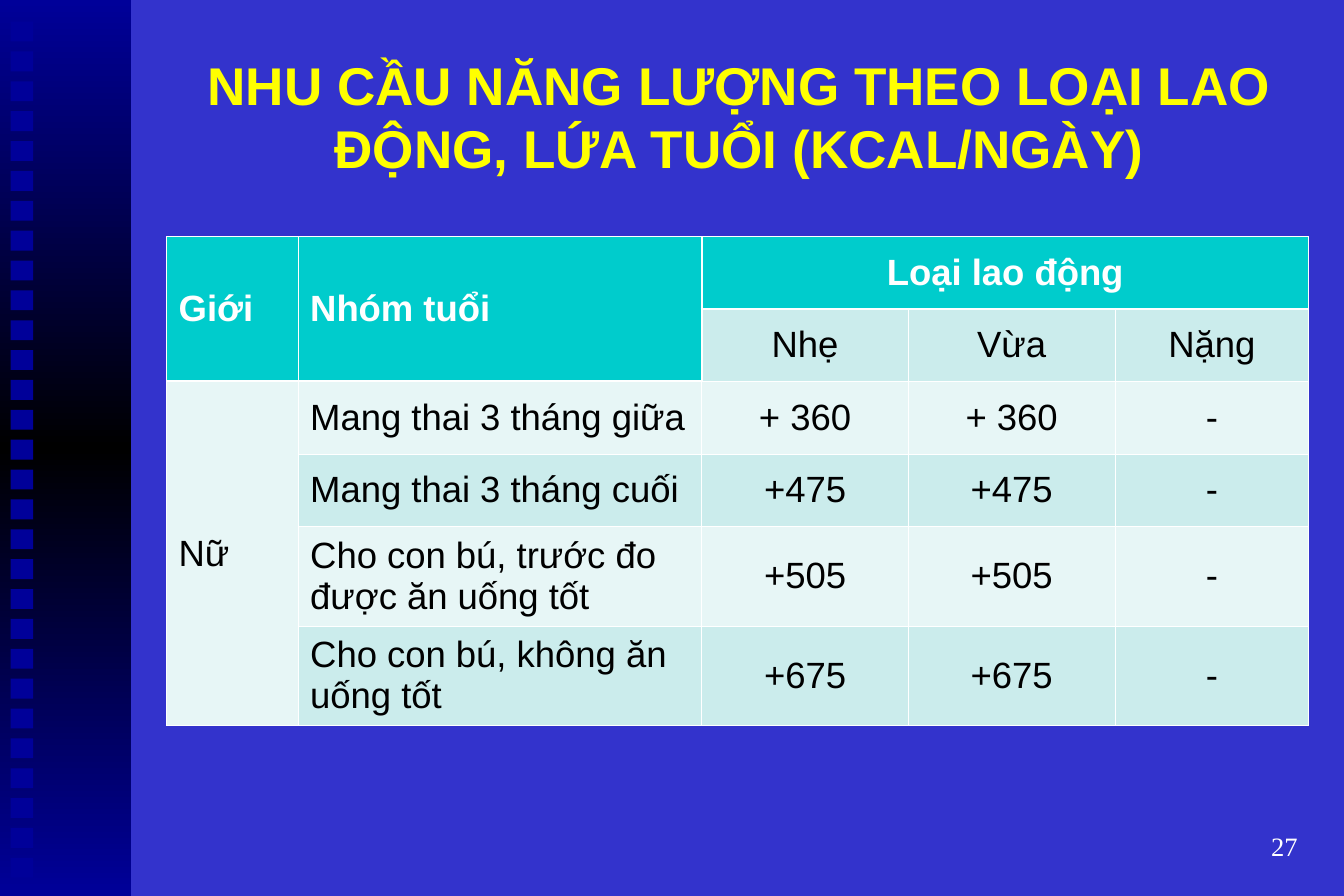
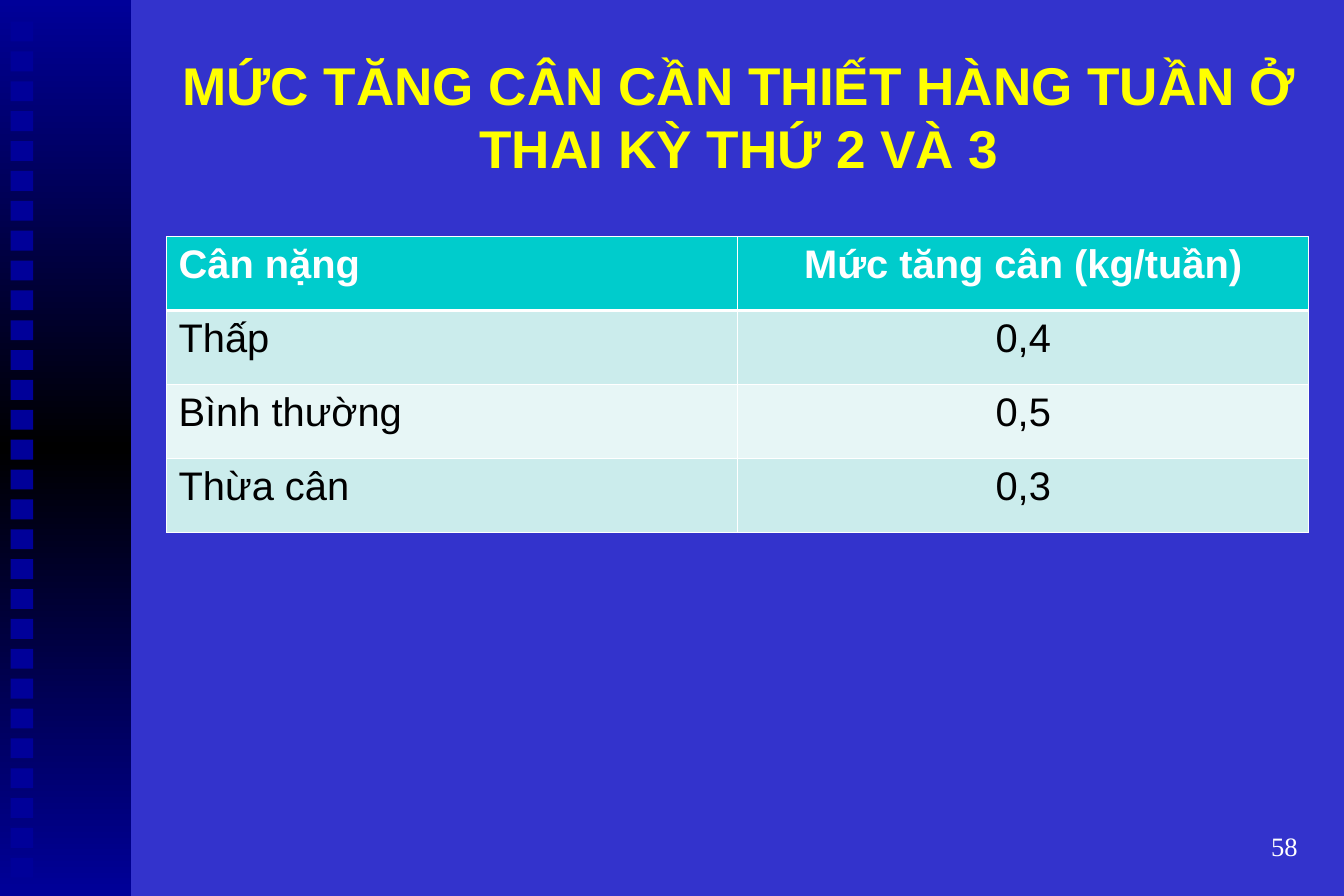
import lxml.etree
import pptx
import pptx.dml.color
import pptx.enum.shapes
import pptx.enum.text
import pptx.oxml.ns
import pptx.util

Pt = pptx.util.Pt
RGBColor = pptx.dml.color.RGBColor
PP_ALIGN = pptx.enum.text.PP_ALIGN
ANCHOR = pptx.enum.text.MSO_ANCHOR
qn = pptx.oxml.ns.qn

# Colours
BLUE = RGBColor(0x33, 0x33, 0xCC)
NAVY = RGBColor(0x00, 0x00, 0x99)
BLACK = RGBColor(0x00, 0x00, 0x00)
WHITE = RGBColor(0xFF, 0xFF, 0xFF)
YELLOW = RGBColor(0xFF, 0xFF, 0x00)
TEAL = RGBColor(0x00, 0xCC, 0xCC)
BANDS = (RGBColor(0xE7, 0xF6, 0xF6), RGBColor(0xCB, 0xEC, 0xEC))

# Shared measures, in points
SLIDE_W, SLIDE_H = 810, 540
BAND_W = 79
SQUARES, SQUARE_TOP, SQUARE_PITCH = 29, 13, 18
TABLE_LEFT, TABLE_TOP, TABLE_W = 100.5, 142.5, 688.3
THIN, THICK = 0.45, 1.47


def add_rect(slide, left, top, width, height):
    sp = slide.shapes.add_shape(pptx.enum.shapes.MSO_SHAPE.RECTANGLE,
                                Pt(left), Pt(top), Pt(width), Pt(height))
    sp.shadow.inherit = False
    sp.line.fill.background()
    sp.fill.solid()
    sp.fill.fore_color.rgb = NAVY
    return sp


def fill_gradient(sp, colours):
    """Vertical gradient with evenly spaced stops."""
    sp.fill.gradient()
    sp.fill.gradient_angle = 270
    stops = sp.element.spPr.find(qn("a:gradFill")).find(qn("a:gsLst"))
    for old in list(stops):
        stops.remove(old)
    for i, colour in enumerate(colours):
        gs = lxml.etree.SubElement(stops, qn("a:gs"), pos=str(i * 100000 // (len(colours) - 1)))
        lxml.etree.SubElement(gs, qn("a:srgbClr"), val=str(colour))


def style_paragraph(p, font, size, colour, align, bold=False):
    p.alignment = align
    p.font.name = font
    p.font.size = Pt(size)
    p.font.bold = bold
    p.font.color.rgb = colour


def add_text(slide, text, left, top, width, height, *style):
    tf = slide.shapes.add_textbox(Pt(left), Pt(top), Pt(width), Pt(height)).text_frame
    tf.word_wrap = True
    tf.vertical_anchor = ANCHOR.MIDDLE
    tf.margin_left = tf.margin_right = Pt(8)
    tf.margin_top = tf.margin_bottom = Pt(4)
    tf.text = text
    style_paragraph(tf.paragraphs[0], *style)


def add_base_slide(prs, title, number):
    """Background, side band, title and page number."""
    slide = prs.slides.add_slide(prs.slide_layouts[6])
    slide.background.fill.solid()
    slide.background.fill.fore_color.rgb = BLUE
    fill_gradient(add_rect(slide, 0, 0, BAND_W, SLIDE_H), (NAVY, BLACK, NAVY))
    for i in range(SQUARES):
        add_rect(slide, 6.5, SQUARE_TOP + i * SQUARE_PITCH, 13.5, 12)
    add_text(slide, title, 101.5, 36.5, TABLE_W, 66.5,
             "Arial", 32, YELLOW, PP_ALIGN.CENTER, True)
    add_text(slide, number, 621.5, 492, 168.5, 36,
             "Times New Roman", 16, WHITE, PP_ALIGN.RIGHT)
    return slide


def set_borders(cell, widths):
    tcPr = cell._tc.get_or_add_tcPr()
    for side, width in zip("LRTB", widths):
        ln = lxml.etree.SubElement(tcPr, qn("a:ln" + side), w=str(int(Pt(width))))
        fill = lxml.etree.SubElement(ln, qn("a:solidFill"))
        lxml.etree.SubElement(fill, qn("a:srgbClr"), val=str(WHITE))


def add_grid(slide, rows, col_widths, row_heights, size, anchor, first_centred, merges=()):
    """Table with a header row; None marks a cell covered by a merge."""
    n_rows, n_cols = len(rows), len(col_widths)
    table = slide.shapes.add_table(n_rows, n_cols, Pt(TABLE_LEFT), Pt(TABLE_TOP),
                                   Pt(sum(col_widths)), Pt(sum(row_heights))).table
    table.first_row = table.horz_banding = False
    for column, width in zip(table.columns, col_widths):
        column.width = Pt(width)
    for row, height in zip(table.rows, row_heights):
        row.height = Pt(height)
    for first, last in merges:
        table.cell(*first).merge(table.cell(*last))

    def is_header(r, c):
        return r == 0 or (rows[r][c] is None and is_header(r - 1, c))

    def edge(r, c, r2, c2):
        inside = 0 <= r2 < n_rows and 0 <= c2 < n_cols
        return THICK if inside and is_header(r, c) != is_header(r2, c2) else THIN

    for r, texts in enumerate(rows):
        for c, text in enumerate(texts):
            cell, header = table.cell(r, c), is_header(r, c)
            bottom, right = r + cell.span_height, c + cell.span_width
            set_borders(cell, (edge(r, c, r, c - 1), edge(r, c, bottom - 1, right),
                               edge(r, c, r - 1, c), edge(r, c, bottom, c)))
            cell.fill.solid()
            cell.fill.fore_color.rgb = TEAL if header else BANDS[r % 2]
            if text is None:
                continue
            cell.vertical_anchor = anchor
            cell.text = text
            style_paragraph(cell.text_frame.paragraphs[0], "Arial", size,
                            WHITE if header else BLACK,
                            PP_ALIGN.CENTER if c >= first_centred else PP_ALIGN.LEFT, header)


def main():
    prs = pptx.Presentation()
    prs.slide_width, prs.slide_height = Pt(SLIDE_W), Pt(SLIDE_H)

    # Energy needs
    slide = add_base_slide(
        prs, "NHU CẦU NĂNG LƯỢNG THEO LOẠI LAO ĐỘNG, LỨA TUỔI (KCAL/NGÀY)", "27")
    energy = [
        ("Giới", "Nhóm tuổi", "Loại lao động", None, None),
        (None, None, "Nhẹ", "Vừa", "Nặng"),
        ("Nữ", "Mang thai 3 tháng giữa", "+ 360", "+ 360", "-"),
        (None, "Mang thai 3 tháng cuối", "+475", "+475", "-"),
        (None, "Cho con bú, trước đo được ăn uống tốt", "+505", "+505", "-"),
        (None, "Cho con bú, không ăn uống tốt", "+675", "+675", "-"),
    ]
    add_grid(slide, energy, (79.3, 243.2, 124.5, 124.5, 116.8), [43.7] * 4 + [59.8] * 2,
             22, ANCHOR.MIDDLE, 2,
             [((0, 0), (1, 0)), ((0, 1), (1, 1)), ((0, 2), (0, 4)), ((2, 0), (5, 0))])

    # Weekly weight gain
    slide = add_base_slide(
        prs, "MỨC TĂNG CÂN CẦN THIẾT HÀNG TUẦN Ở THAI KỲ THỨ 2 VÀ 3", "58")
    weight_gain = [
        ("Cân nặng", "Mức tăng cân (kg/tuần)"),
        ("Thấp", "0,4"),
        ("Bình thường", "0,5"),
        ("Thừa cân", "0,3"),
    ]
    add_grid(slide, weight_gain, [TABLE_W / 2] * 2, [44.6] * 4, 24, ANCHOR.TOP, 1)

    prs.save("out.pptx")


if __name__ == "__main__":
    main()
